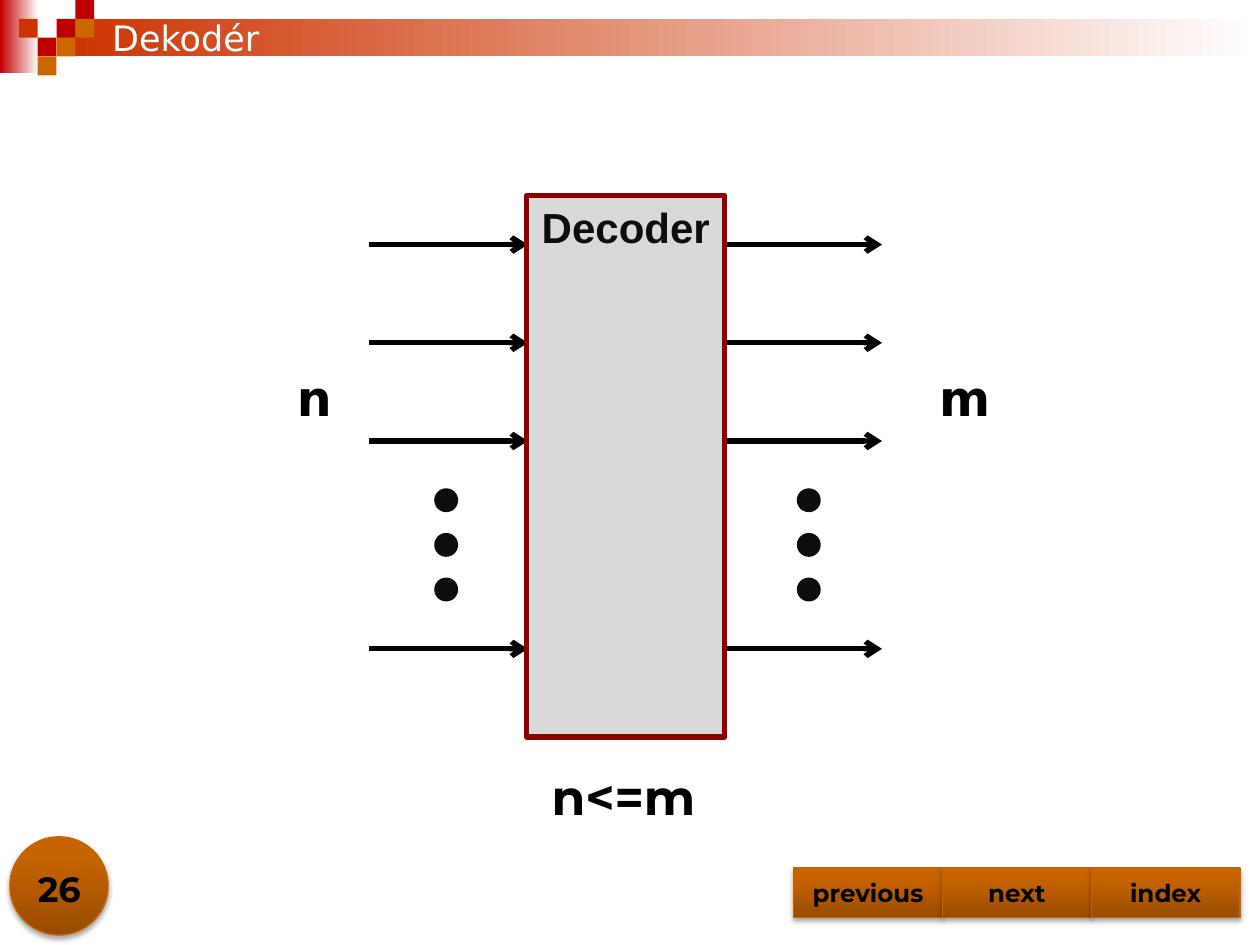
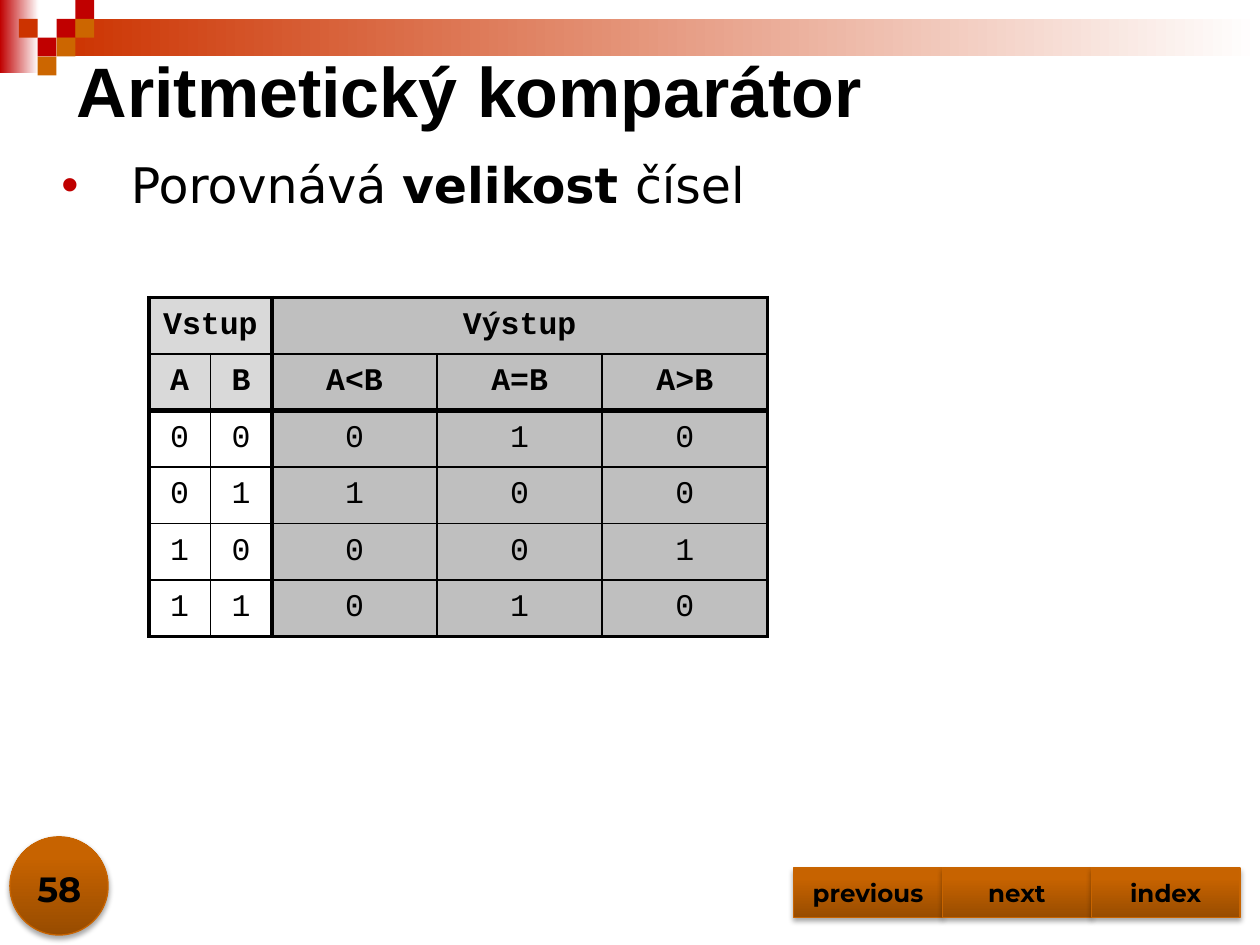
from lxml.etree import SubElement
from pptx import Presentation
from pptx.dml.color import RGBColor
from pptx.enum.shapes import MSO_CONNECTOR, MSO_SHAPE
from pptx.enum.text import MSO_ANCHOR as Anchor, PP_ALIGN as Align
from pptx.oxml.ns import qn
from pptx.util import Cm, Pt

BLACK = RGBColor(0x00, 0x00, 0x00)
WHITE = RGBColor(0xFF, 0xFF, 0xFF)
RED = RGBColor(0xC0, 0x00, 0x00)
BRICK = RGBColor(0xCC, 0x33, 0x00)
ORANGE = RGBColor(0xCC, 0x66, 0x00)
BUTTON_DARK = RGBColor(0x98, 0x4C, 0x00)
BUTTON_LIGHT = RGBColor(0xC7, 0x63, 0x00)
BUTTON_EDGE = RGBColor(0xC8, 0x64, 0x00)
INK = RGBColor(0x0D, 0x0D, 0x0D)
MAROON = RGBColor(0x8E, 0x00, 0x00)
LIGHT_GREY = RGBColor(0xD9, 0xD9, 0xD9)
MID_GREY = RGBColor(0xBF, 0xBF, 0xBF)

SANS, HEADING, MONO, LABEL = "DejaVu Sans", "Arial", "Courier New", "Montserrat"

# Shared frame: mosaic squares as (column, row, colour) on a grid
MOSAIC_STEP = 0.38
MOSAIC = [(3, 1, RED), (4, 0, RED), (4, 1, ORANGE), (2, 2, RED),
          (1, 1, BRICK), (3, 2, ORANGE), (2, 3, ORANGE)]
BUTTONS = ["previous", "next", "index"]
BUTTON_LEFT, BUTTON_WIDTH = 16, 3

# Decoder diagram
DECODER = (10.62, 3.94, 3.99, 10.92)
ARROW_LENGTH = 3.2
ARROW_ROWS = [4.93, 6.91, 8.89, 13.08]
DOT_ROWS = [9.88, 10.78, 11.68]
DOT_SIZE = 0.41
# (label, label left, arrows left, dots left)
SIDES = [("n", 4.9, 7.44, 8.79), ("m", 18.01, 14.58, 16.1)]

# Comparator truth table
GROUPS = [("Vstup", 0, 1), ("Výstup", 2, 4)]
COLUMNS = ["A", "B", "A<B", "A=B", "A>B"]
TRUTH = ["00010", "01100", "10001", "11010"]
INPUTS = 2
COLUMN_WIDTHS = [1.24, 1.24, 3.33, 3.33, 3.33]
ROW_HEIGHT = 1.14
VERTICAL_RULES = [2.25, 1, 3, 1, 1, 2.25]
HORIZONTAL_RULES = [2.25, 1, 3, 1, 1, 1, 2.25]
STATEMENT = [("Porovnává ", False), ("velikost ", True), ("čísel", False)]


def place(*lengths):
    return [Cm(length) for length in lengths]


def style(paragraph, font, size, color=BLACK, bold=False, align=None):
    paragraph.alignment = align
    paragraph.font.name = font
    paragraph.font.size = Pt(size)
    paragraph.font.bold = bold
    paragraph.font.color.rgb = color


def write(frame, text, font, size, anchor=Anchor.TOP, wrap=True, **look):
    frame.word_wrap = wrap
    frame.vertical_anchor = anchor
    frame.text = text
    style(frame.paragraphs[0], font, size, **look)


def add_text(slide, box, text, font, size, **look):
    frame = slide.shapes.add_textbox(*place(*box)).text_frame
    write(frame, text, font, size, **look)


def add_block(slide, kind, box, fill, edge=None, weight=0):
    """Add a flat shape with an optional outline."""
    block = slide.shapes.add_shape(kind, *place(*box))
    block.shadow.inherit = False
    block.fill.solid()
    block.fill.fore_color.rgb = fill
    if edge is None:
        block.line.fill.background()
    else:
        block.line.color.rgb = edge
        block.line.width = Pt(weight)
    return block


def shade(block, start, end, angle=0, end_position=1):
    block.fill.gradient()
    block.fill.gradient_angle = angle
    first, last = block.fill.gradient_stops
    first.color.rgb, first.position = start, 0
    last.color.rgb, last.position = end, end_position


def add_button(slide, kind, box):
    """Add a glossy orange shape with a soft shadow below."""
    button = add_block(slide, kind, box, BUTTON_LIGHT, BUTTON_EDGE, 0.75)
    shade(button, BUTTON_DARK, BUTTON_LIGHT, angle=90, end_position=0.8)
    effects = button._element.spPr.find(qn("a:effectLst"))
    shadow = SubElement(effects, qn("a:outerShdw"), blurRad=str(Pt(3.1)),
                        dist=str(Pt(1.8)), dir="5400000", rotWithShape="0")
    tint = SubElement(shadow, qn("a:srgbClr"), val=str(BLACK))
    SubElement(tint, qn("a:alpha"), val="35000")
    return button


def add_header(slide):
    corner = add_block(slide, MSO_SHAPE.RECTANGLE, (0, 0, 0.78, 1.47), RED)
    shade(corner, RED, WHITE)
    band = add_block(slide, MSO_SHAPE.RECTANGLE, (1.14, 0.38, 24.26, 0.76), BRICK)
    shade(band, BRICK, WHITE)
    for column, row, color in MOSAIC:
        add_block(slide, MSO_SHAPE.RECTANGLE,
                  (column * MOSAIC_STEP, row * MOSAIC_STEP, MOSAIC_STEP, MOSAIC_STEP),
                  color)


def add_footer(slide, number):
    add_button(slide, MSO_SHAPE.OVAL, (0.2, 16.87, 1.98, 1.98))
    add_text(slide, (0, 17.2, 2.39, 1.27), number, LABEL, 20,
             anchor=Anchor.BOTTOM, bold=True, align=Align.CENTER)
    for i, caption in enumerate(BUTTONS):
        button = add_button(slide, MSO_SHAPE.ACTION_BUTTON_CUSTOM,
                            (BUTTON_LEFT + i * BUTTON_WIDTH, 17.5, BUTTON_WIDTH, 1))
        write(button.text_frame, caption, LABEL, 14, anchor=Anchor.MIDDLE,
              bold=True, align=Align.CENTER)


def add_arrow(slide, left, top):
    arrow = slide.shapes.add_connector(
        MSO_CONNECTOR.STRAIGHT, *place(left, top, left + ARROW_LENGTH, top))
    arrow.line.color.rgb = BLACK
    arrow.line.width = Pt(3)
    SubElement(arrow.line._get_or_add_ln(), qn("a:tailEnd"), type="arrow")
    SubElement(arrow._element.spPr, qn("a:effectLst"))


def draw_decoder(slide):
    for label, label_left, arrows_left, dots_left in SIDES:
        add_text(slide, (label_left, 7.29, 2.87, 1.6), label, SANS, 28,
                 bold=True, align=Align.CENTER)
        for top in ARROW_ROWS:
            add_arrow(slide, arrows_left, top)
        for top in DOT_ROWS:
            add_block(slide, MSO_SHAPE.OVAL, (dots_left, top, DOT_SIZE, DOT_SIZE),
                      INK, INK, 2)
    decoder = add_block(slide, MSO_SHAPE.RECTANGLE, DECODER, LIGHT_GREY, MAROON, 3)
    write(decoder.text_frame, "Decoder", HEADING, 24, color=INK, bold=True,
          align=Align.CENTER)
    add_text(slide, (2.01, 0.2, 21.59, 1.12), "Dekodér", SANS, 20,
             anchor=Anchor.MIDDLE, color=WHITE)
    add_text(slide, (10.87, 15.32, 3.48, 1.45), "n<=m", LABEL, 28,
             wrap=False, bold=True)


def add_statement(slide):
    frame = slide.shapes.add_textbox(*place(0.99, 3, 24.41, 1.45)).text_frame
    frame.word_wrap = True
    paragraph = frame.paragraphs[0]
    properties = paragraph._p.get_or_add_pPr()
    properties.set("marL", str(Cm(1.4)))
    properties.set("indent", str(-Cm(1.4)))
    bullet_color = SubElement(properties, qn("a:buClr"))
    SubElement(bullet_color, qn("a:srgbClr"), val=str(RED))
    SubElement(properties, qn("a:buFont"), typeface=HEADING)
    SubElement(properties, qn("a:buChar"), char="•")
    style(paragraph, SANS, 28)
    for words, bold in STATEMENT:
        run = paragraph.add_run()
        run.text = words
        run.font.bold = bold


def rule_cell(cell, row, column):
    """Draw the cell's four borders by the rule widths of the grid."""
    right = column + cell.span_width
    widths = {"L": VERTICAL_RULES[column], "R": VERTICAL_RULES[right],
              "T": HORIZONTAL_RULES[row], "B": HORIZONTAL_RULES[row + 1]}
    for side, width in widths.items():
        border = SubElement(cell._tc.get_or_add_tcPr(), qn(f"a:ln{side}"),
                            w=str(Pt(width)))
        fill = SubElement(border, qn("a:solidFill"))
        SubElement(fill, qn("a:srgbClr"), val=str(BLACK))


def add_truth_table(slide):
    headings = [""] * len(COLUMNS)
    for heading, first, _ in GROUPS:
        headings[first] = heading
    rows = [headings, COLUMNS, *TRUTH]
    table = slide.shapes.add_table(
        len(rows), len(COLUMNS),
        *place(3, 6, sum(COLUMN_WIDTHS), ROW_HEIGHT * len(rows))).table
    table.first_row = table.horz_banding = False
    for column, width in zip(table.columns, COLUMN_WIDTHS):
        column.width = Cm(width)
    for row in table.rows:
        row.height = Cm(ROW_HEIGHT)
    for _, first, last in GROUPS:
        table.cell(0, first).merge(table.cell(0, last))

    for r, values in enumerate(rows):
        is_header = r < 2
        for c, value in enumerate(values):
            cell = table.cell(r, c)
            rule_cell(cell, r, c)
            if c >= INPUTS or is_header:
                cell.fill.solid()
                cell.fill.fore_color.rgb = MID_GREY if c >= INPUTS else LIGHT_GREY
            else:
                cell.fill.background()
            cell.vertical_anchor = Anchor.MIDDLE
            cell.text = value
            style(cell.text_frame.paragraphs[0], MONO, 18, bold=is_header,
                  align=Align.CENTER)


def draw_comparator(slide):
    add_text(slide, (1.3, 0.79, 21.59, 2.01), "Aritmetický komparátor", HEADING, 40,
             anchor=Anchor.MIDDLE, bold=True)
    add_statement(slide)
    add_truth_table(slide)


def main():
    deck = Presentation()
    deck.slide_width, deck.slide_height = Cm(25.4), Cm(19.05)
    for number, draw in [("26", draw_decoder), ("58", draw_comparator)]:
        slide = deck.slides.add_slide(deck.slide_layouts[6])
        add_header(slide)
        draw(slide)
        add_footer(slide, number)
    deck.save("out.pptx")


if __name__ == "__main__":
    main()
